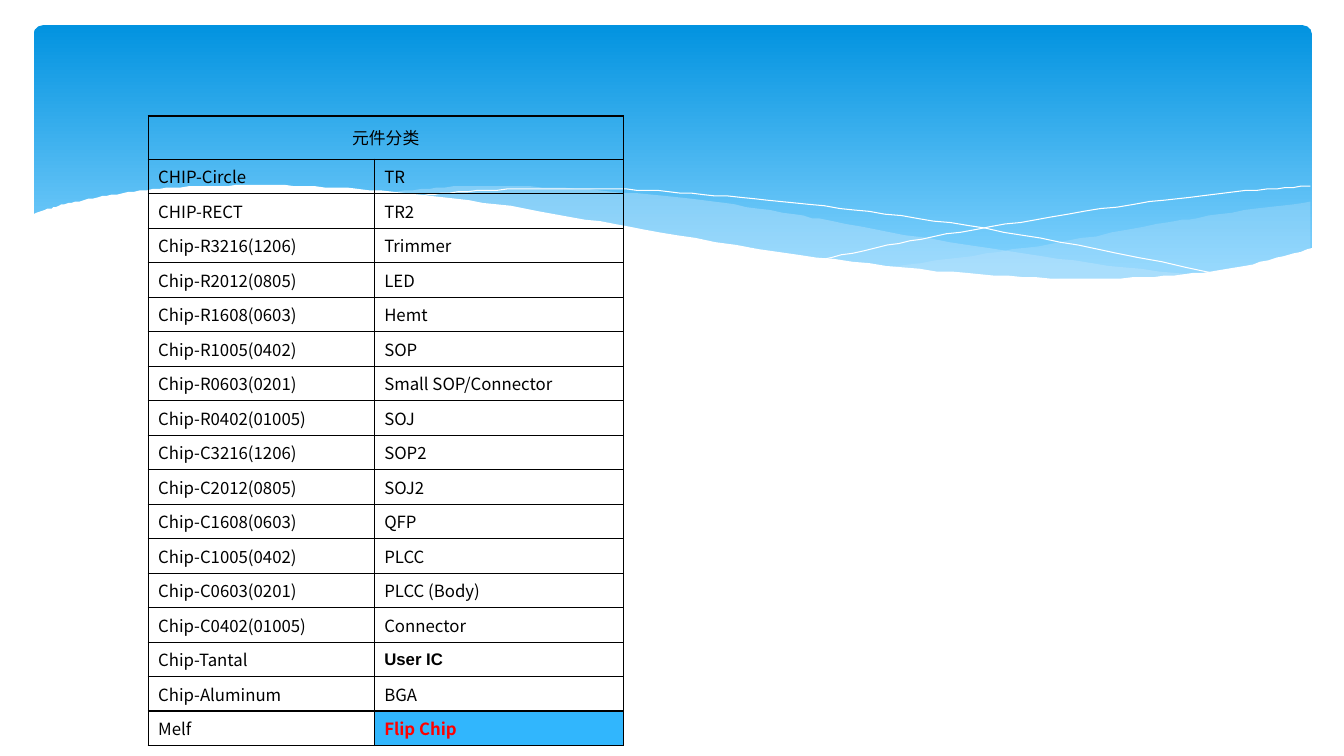
from dataclasses import dataclass

from lxml.etree import SubElement
from pptx import Presentation
from pptx.dml.color import RGBColor as Rgb
from pptx.enum.shapes import MSO_SHAPE as Shape
from pptx.enum.text import MSO_ANCHOR as Anchor, PP_ALIGN as Align
from pptx.oxml.ns import qn
from pptx.util import Pt


@dataclass(frozen=True)
class Theme:
    sky_top: str = "0293E0"
    sky_bottom: str = "83D3FE"
    mist: str = "C6E7FC"
    white: str = "FFFFFF"
    ink: str = "000000"
    alert: str = "FF0000"
    highlight: str = "31B6FD"
    font: str = "Noto Sans CJK SC"
    accent_font: str = "Arial"
    size: float = 12
    border: float = 1


THEME = Theme()
CURVE_STEPS = 5

RIGHT_WAVE_TOP = [(936.5, 144), (897, 149), (855, 155.5), (826, 160.5), (772, 170.5),
                  (723, 178.5), (677, 185), (635, 191)]
RIGHT_WAVE_BOTTOM = [(635, 191), (690, 195.8), (738, 198.7), (781, 199.8), (821, 199.2),
                     (854, 196.5), (884, 192.3), (911.5, 185), (936.5, 178)]
LEFT_WAVE_TOP = [(857, 196.5), (803, 191), (744, 183), (677.5, 173), (604, 160),
                 (574.5, 154.5), (533, 147.5), (494, 142.5), (446, 137.5), (403, 134.5),
                 (364, 133), (330.5, 133.2), (301, 135.2), (275, 137.5)]
LEFT_WAVE_BOTTOM = [(275, 137.5), (310, 141), (348, 146), (388, 152), (431, 160),
                    (508, 172.8), (577.5, 183.5), (639, 191.5), (693, 197.2),
                    (742, 199.8), (785, 200.3), (823, 199), (857, 196.5)]
FALLING_LINE = [(296.5, 140.5), (315, 138), (348, 136), (385, 134.6), (432, 135),
                (470, 136.5), (511, 139.7), (558, 144), (610.5, 150), (667, 157.5),
                (730, 168), (798, 180.7), (871, 196)]
RISING_LINE = [(589, 185), (626, 177), (667, 169), (718, 160.5), (774, 151), (832, 143),
               (873.5, 138), (912, 134.7), (936, 133)]
PAGE_EDGE = [(938, 177), (911.5, 184.5), (883, 191), (852, 195.3), (816.5, 198),
             (776, 199.3), (731, 198), (680, 194.5), (621, 188.5), (556, 180), (483, 168),
             (429, 158.5), (375, 149), (326, 142), (281, 137), (240, 134), (203, 132.5),
             (169, 132.5), (140, 133.2), (114, 134.7), (91.5, 137.5), (73, 140.5),
             (57, 143.5), (44, 146.5), (34.5, 149.3), (22.3, 153.4)]
PAGE_BASE = [(22.3, 237), (938, 237)]

HEADING = "元件分类"
COMPONENTS = [
    ("CHIP-Circle", "TR"),
    ("CHIP-RECT", "TR2"),
    ("Chip-R3216(1206)", "Trimmer"),
    ("Chip-R2012(0805)", "LED"),
    ("Chip-R1608(0603)", "Hemt"),
    ("Chip-R1005(0402)", "SOP"),
    ("Chip-R0603(0201)", "Small SOP/Connector"),
    ("Chip-R0402(01005)", "SOJ"),
    ("Chip-C3216(1206)", "SOP2"),
    ("Chip-C2012(0805)", "SOJ2"),
    ("Chip-C1608(0603)", "QFP"),
    ("Chip-C1005(0402)", "PLCC"),
    ("Chip-C0603(0201)", "PLCC (Body)"),
    ("Chip-C0402(01005)", "Connector"),
    ("Chip-Tantal", "User IC"),
    ("Chip-Aluminum", "BGA"),
    ("Melf", "Flip Chip"),
]
EMPHASIS = {
    "User IC": dict(font=THEME.accent_font, bold=True),
    "Flip Chip": dict(color=THEME.alert, bold=True, fill=THEME.highlight),
}


def rgb(color):
    return Rgb.from_string(color)


def smooth(anchors):
    padded = [anchors[0], *anchors, anchors[-1]]
    curve = [anchors[0]]
    for before, start, end, after in zip(padded, padded[1:], padded[2:], padded[3:]):
        for step in range(1, CURVE_STEPS + 1):
            t = step / CURVE_STEPS
            curve.append(tuple(
                (2 * b + (c - a) * t + (2 * a - 5 * b + 4 * c - d) * t ** 2
                 + (3 * b - a - 3 * c + d) * t ** 3) / 2
                for a, b, c, d in zip(before, start, end, after)))
    return curve


def add_outline(slide, points, closed):
    builder = slide.shapes.build_freeform(*points[0], scale=Pt(1))
    builder.add_line_segments(points[1:], close=closed)
    outline = builder.convert_to_shape()
    outline.shadow.inherit = False
    return outline


def add_wave(slide, points, color, opacity=100):
    wave = add_outline(slide, points, True)
    wave.fill.solid()
    wave.fill.fore_color.rgb = rgb(color)
    wave.line.fill.background()
    if opacity < 100:
        tint = wave.element.spPr.find(".//" + qn("a:srgbClr"))
        SubElement(tint, qn("a:alpha"), val=str(opacity * 1000))


def add_thread(slide, anchors):
    thread = add_outline(slide, smooth(anchors), False)
    thread.fill.background()
    thread.line.color.rgb = rgb(THEME.white)
    thread.line.width = Pt(0)


def add_sky(slide):
    sky = slide.shapes.add_shape(Shape.ROUNDED_RECTANGLE, Pt(24), Pt(18), Pt(913), Pt(194.4))
    sky.adjustments[0] = 0.034
    sky.shadow.inherit = False
    sky.line.fill.background()
    sky.fill.gradient()
    sky.fill.gradient_angle = 270
    stops = ((0, THEME.sky_top), (0.9, THEME.sky_bottom))
    for stop, (position, color) in zip(sky.fill.gradient_stops, stops):
        stop.position = position
        stop.color.rgb = rgb(color)


def add_borders(cell):
    properties = cell._tc.get_or_add_tcPr()
    for side in ("lnL", "lnR", "lnT", "lnB"):
        border = SubElement(properties, qn("a:" + side), w=str(Pt(THEME.border)))
        paint = SubElement(border, qn("a:solidFill"))
        SubElement(paint, qn("a:srgbClr"), val=THEME.ink)


def fill_cell(cell, text, align=Align.LEFT, font=THEME.font, color=THEME.ink,
              bold=False, fill=None):
    cell.vertical_anchor = Anchor.MIDDLE
    cell.margin_top = cell.margin_bottom = Pt(3)
    if fill:
        cell.fill.solid()
        cell.fill.fore_color.rgb = rgb(fill)
    else:
        cell.fill.background()
    paragraph = cell.text_frame.paragraphs[0]
    paragraph.alignment = align
    run = paragraph.add_run()
    run.text = text
    run.font.size = Pt(THEME.size)
    run.font.bold = bold
    run.font.color.rgb = rgb(color)
    run.font.name = font
    SubElement(run.font._element, qn("a:ea"), typeface=font)


def add_component_table(slide):
    frame = slide.shapes.add_table(len(COMPONENTS) + 1, 2, Pt(105.8), Pt(82.8), Pt(339.5), Pt(450))
    table = frame.table
    table.first_row = table.horz_banding = False
    for column, width in zip(table.columns, (161.5, 178)):
        column.width = Pt(width)
    for index, row in enumerate(table.rows):
        row.height = Pt(24.65 if index else 31)
        for cell in row.cells:
            add_borders(cell)
    table.cell(0, 0).merge(table.cell(0, 1))
    fill_cell(table.cell(0, 0), HEADING, Align.CENTER)
    for index, names in enumerate(COMPONENTS, 1):
        for column, name in enumerate(names):
            fill_cell(table.cell(index, column), name, **EMPHASIS.get(name, {}))


def main():
    deck = Presentation()
    deck.slide_width, deck.slide_height = Pt(960), Pt(540)
    slide = deck.slides.add_slide(deck.slide_layouts[6])
    add_sky(slide)
    add_wave(slide, smooth(RIGHT_WAVE_TOP) + smooth(RIGHT_WAVE_BOTTOM), THEME.mist, 29)
    add_wave(slide, smooth(LEFT_WAVE_TOP) + smooth(LEFT_WAVE_BOTTOM), THEME.mist, 40)
    add_thread(slide, FALLING_LINE)
    add_thread(slide, RISING_LINE)
    add_wave(slide, smooth(PAGE_EDGE) + PAGE_BASE, THEME.white)
    add_component_table(slide)
    deck.save("out.pptx")


if __name__ == "__main__":
    main()
